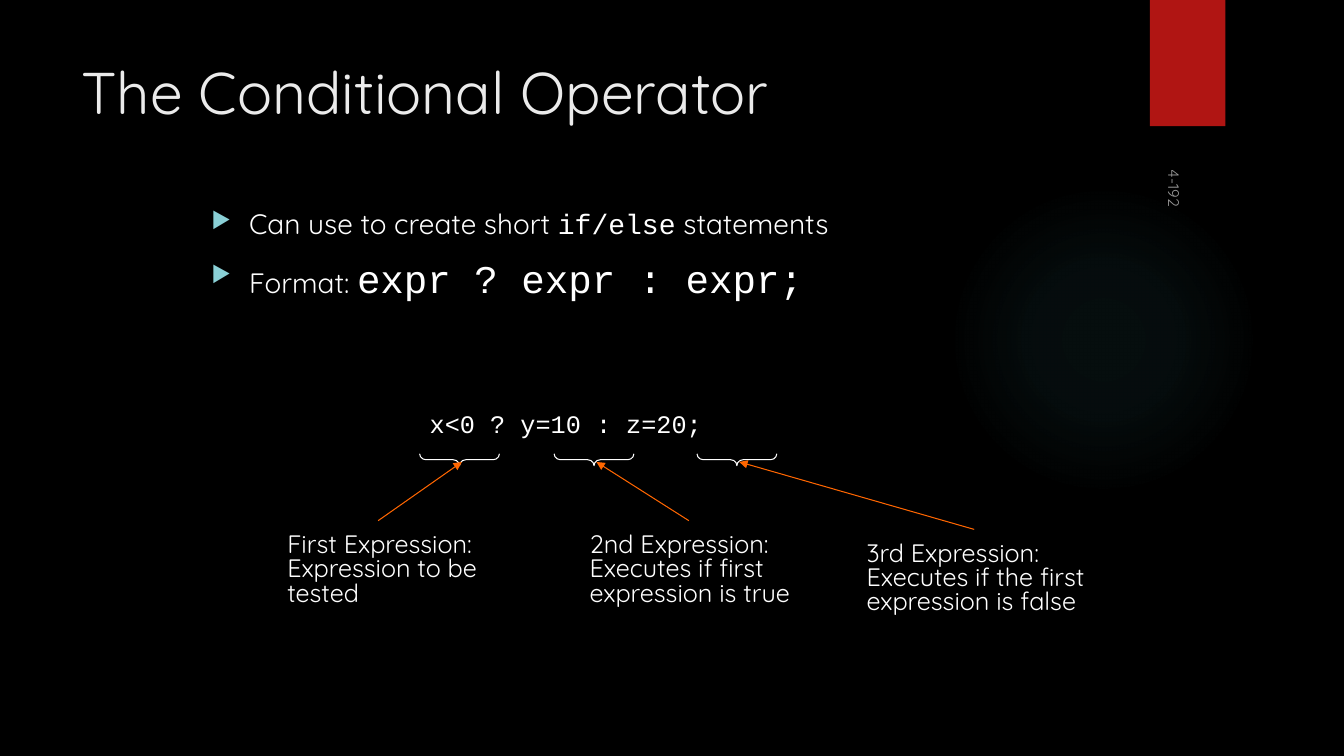
import dataclasses

import lxml.etree
import pptx
import pptx.dml.color
import pptx.enum.shapes
import pptx.enum.text
import pptx.oxml
import pptx.oxml.ns
import pptx.util

Cm = pptx.util.Cm
Pt = pptx.util.Pt
qn = pptx.oxml.ns.qn
SHAPES = pptx.enum.shapes.MSO_SHAPE
ANCHOR = pptx.enum.text.MSO_ANCHOR


@dataclasses.dataclass(frozen=True)
class Theme:
    """Colours, fonts and type sizes of the slide."""
    background: str = "000000"
    text: str = "FFFFFF"
    title: str = "EBEBEB"
    ribbon: str = "B01513"
    glow: str = "50B9C1"
    bullet: str = "8AD0D6"
    arrow: str = "FF6600"
    font: str = "Quicksand"
    code_font: str = "Courier New"
    title_size: int = 42
    format_size: int = 28
    body_size: int = 20
    label_size: int = 18
    number_size: int = 11
    line_width: float = 0.75


THEME = Theme()


def rgb(color):
    """Turn a hex string into a colour."""
    return pptx.dml.color.RGBColor.from_string(color)


def add_element(parent, tag, **attributes):
    """Append a DrawingML element to its parent."""
    return lxml.etree.SubElement(parent, qn(tag), **attributes)


def add_run(paragraph, text, *, size, color=THEME.text, font=THEME.font, alpha=None):
    """Write one formatted run of text."""
    run = paragraph.add_run()
    run.text = text
    run.font.name = font
    run.font.size = Pt(size)
    run.font.color.rgb = rgb(color)
    if alpha is not None:
        color_element = next(run.font._element.iter(qn("a:srgbClr")))
        add_element(color_element, "a:alpha", val=str(alpha * 1000))


def add_frame(slide, left, top, width, height, wrap=True, anchor=ANCHOR.TOP):
    """Add an empty text box and return it."""
    box = slide.shapes.add_textbox(Cm(left), Cm(top), Cm(width), Cm(height))
    box.text_frame.word_wrap = wrap
    box.text_frame.vertical_anchor = anchor
    return box


def add_text(slide, text, place, *, wrap=True, anchor=ANCHOR.TOP, spacing=None, rotation=0, **run_format):
    """Add a text box with one paragraph for each line of text."""
    box = add_frame(slide, *place, wrap=wrap, anchor=anchor)
    box.rotation = rotation
    frame = box.text_frame
    for index, line in enumerate(text.split("\n")):
        paragraph = frame.add_paragraph() if index else frame.paragraphs[0]
        if spacing:
            paragraph.line_spacing = spacing
        add_run(paragraph, line, **run_format)


def add_bullets(slide, items, place):
    """Add a bulleted list whose items are lists of runs."""
    frame = add_frame(slide, *place).text_frame
    for index, runs in enumerate(items):
        paragraph = frame.add_paragraph() if index else frame.paragraphs[0]
        properties = paragraph._p.get_or_add_pPr()
        properties.set("marL", str(Cm(0.95)))
        properties.set("indent", str(-Cm(0.95)))
        add_element(add_element(properties, "a:buClr"), "a:srgbClr", val=THEME.bullet)
        add_element(properties, "a:buSzPct", val="80000")
        add_element(properties, "a:buChar", char="▶")
        paragraph.space_before = Pt(10 if index else 0)
        for text, run_format in runs:
            add_run(paragraph, text, **run_format)


def add_shape(slide, kind, left, top, width, height, fill=None, line=None):
    """Add a flat preset shape."""
    shape = slide.shapes.add_shape(kind, Cm(left), Cm(top), Cm(width), Cm(height))
    shape.shadow.inherit = False
    if fill:
        shape.fill.solid()
        shape.fill.fore_color.rgb = rgb(fill)
    else:
        shape.fill.background()
    if line:
        shape.line.color.rgb = rgb(line)
        shape.line.width = Pt(THEME.line_width)
    else:
        shape.line.fill.background()
    return shape


def add_glow(slide, left, top, size):
    """Add a faint circle that fades out towards its edge."""
    circle = add_shape(slide, SHAPES.OVAL, left, top, size, size)
    gradient = pptx.oxml.parse_xml(f'<a:gradFill {pptx.oxml.ns.nsdecls("a")} rotWithShape="1"/>')
    stops = add_element(gradient, "a:gsLst")
    for position, alpha in ((0, 7), (36, 6), (69, 0)):
        stop = add_element(stops, "a:gs", pos=str(position * 1000))
        color = add_element(stop, "a:srgbClr", val=THEME.glow)
        add_element(color, "a:alpha", val=str(alpha * 1000))
    path = add_element(gradient, "a:path", path="circle")
    add_element(path, "a:fillToRect", l="50000", t="50000", r="50000", b="50000")
    properties = circle._element.spPr
    properties.replace(properties.find(qn("a:noFill")), gradient)


def add_brace(slide, left):
    """Add a brace that opens upwards under a part of the code."""
    brace = add_shape(slide, SHAPES.RIGHT_BRACE, left, 10.58, 0.3, 2.01, line=THEME.text)
    brace.rotation = 90
    brace.adjustments[0] = 0.53
    brace.adjustments[1] = 0.5


def add_arrow(slide, start, end):
    """Add a thin arrow between two points."""
    points = [Cm(value) for value in (*start, *end)]
    arrow = slide.shapes.add_connector(pptx.enum.shapes.MSO_CONNECTOR.STRAIGHT, *points)
    arrow.line.color.rgb = rgb(THEME.arrow)
    arrow.line.width = Pt(THEME.line_width)
    add_element(arrow.line._get_or_add_ln(), "a:tailEnd", type="triangle")
    add_element(arrow._element.spPr, "a:effectLst")


def main():
    """Build and save the slide."""
    presentation = pptx.Presentation()
    presentation.slide_width, presentation.slide_height = Cm(33.87), Cm(19.05)
    slide = presentation.slides.add_slide(presentation.slide_layouts[6])
    slide.background.fill.solid()
    slide.background.fill.fore_color.rgb = rgb(THEME.background)

    add_glow(slide, 23.9, 4.65, 7.82)
    add_shape(slide, SHAPES.RECTANGLE, 28.98, 0, 1.9, 3.18, fill=THEME.ribbon)
    add_text(slide, "4-192", (28.22, 4.98, 2.74, 0.84), rotation=90,
             anchor=ANCHOR.MIDDLE, size=THEME.number_size, alpha=60)
    add_text(slide, "The Conditional Operator", (1.8, 1.27, 26.14, 3.89),
             size=THEME.title_size, color=THEME.title)

    body = {"size": THEME.body_size}
    add_bullets(slide, [
        [("Can use to create short ", body),
         ("if/else", {**body, "font": THEME.code_font}),
         (" statements", body)],
        [("Format: ", body),
         ("expr ? expr : expr;", {"size": THEME.format_size, "font": THEME.code_font})],
    ], (5.08, 5.08, 23.04, 12.7))

    add_text(slide, "x<0 ? y=10 : z=20;", (10.58, 10.16, 7.42, 1.02), wrap=False,
             size=THEME.label_size, font=THEME.code_font)
    expressions = [
        ("First Expression:\nExpression to be\ntested",
         (6.99, 13.34, 5.49, 2.12), 11.43, (9.53, 13.12), 11.64),
        ("2nd Expression:\nExecutes if first\nexpression is true",
         (14.61, 13.34, 5.69, 2.12), 14.82, (17.36, 13.12), 15.03),
        ("3rd Expression:\nExecutes if the first\nexpression is false",
         (21.59, 13.55, 6.15, 2.12), 18.42, (24.55, 13.34), 18.63),
    ]
    for text, place, brace_left, arrow_start, arrow_tip in expressions:
        add_text(slide, text, place, wrap=False, spacing=0.8, size=THEME.label_size)
        add_brace(slide, brace_left)
        add_arrow(slide, arrow_start, (arrow_tip, 11.64))

    presentation.save("out.pptx")


if __name__ == "__main__":
    main()
